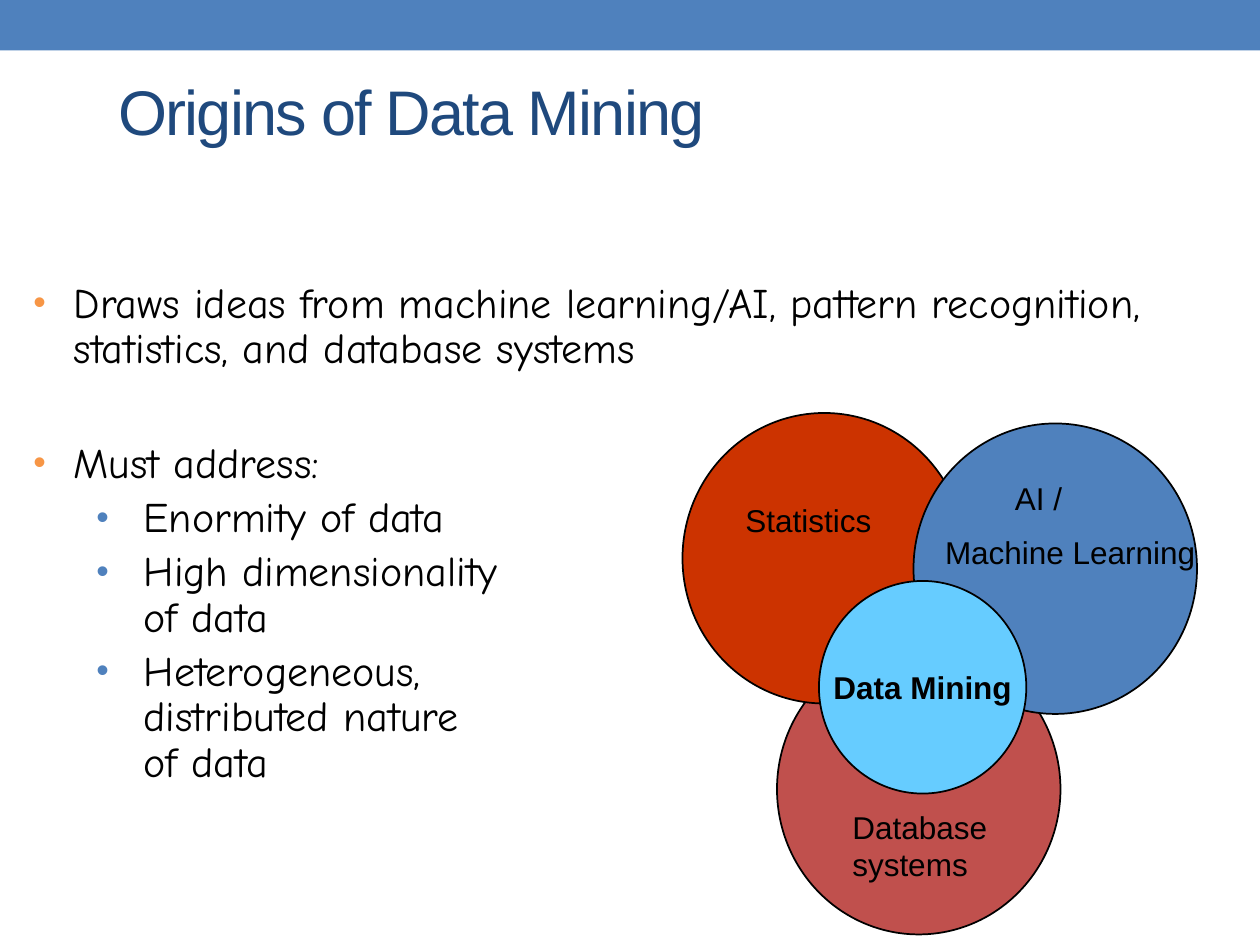
from lxml import etree
from pptx import Presentation
from pptx.dml.color import RGBColor
from pptx.enum.shapes import MSO_SHAPE as SHAPE
from pptx.enum.text import MSO_ANCHOR as ANCHOR, PP_ALIGN as ALIGN
from pptx.oxml.ns import qn
from pptx.util import Pt

COLORS = {"blue": "4F81BD", "navy": "1F497D", "black": "000000", "orange": "F79646",
          "brick": "C0504D", "red": "CC3300", "sky": "66CCFF"}
BULLETS = [
    ("Draws ideas from machine learning/AI, pattern recognition, "
     "statistics, and database systems", 0, 0),
    ("Must address:", 0, 40),
    ("Enormity of data", 1, 5),
    ("High dimensionality\vof data", 1, 5),
    ("Heterogeneous,\vdistributed nature\vof data", 1, 5),
]
LEVELS = [(23, -23, "orange"), (63, -27, "blue")]  # margin, hanging indent, bullet colour


def rgb(name):
    return RGBColor.from_string(COLORS[name])


def add_text(tf, text, size=18, font="Arial", color="black", bold=False, align=ALIGN.LEFT,
             before=0, line=1.0, margin=0, spacing=0):
    """Fill the first paragraph if it is empty, else append one."""
    p = tf.paragraphs[0] if not tf.text else tf.add_paragraph()
    p.text = text
    p.alignment, p.line_spacing, p.space_before = align, line, Pt(before)
    p._p.get_or_add_pPr().set("marL", str(Pt(margin)))
    for r in p.runs:
        r.font.size, r.font.name, r.font.bold = Pt(size), font, bold
        r.font.color.rgb = rgb(color)
        if spacing:
            r._r.get_or_add_rPr().set("spc", str(spacing * 100))
    return p


def set_bullet(p, indent, color):
    pPr = p._p.get_or_add_pPr()
    pPr.set("indent", str(Pt(indent)))
    clr = etree.SubElement(pPr, qn("a:buClr"))
    etree.SubElement(clr, qn("a:srgbClr"), val=COLORS[color])
    etree.SubElement(pPr, qn("a:buSzPct"), val="85000")
    etree.SubElement(pPr, qn("a:buFont"), typeface="Arial")
    etree.SubElement(pPr, qn("a:buChar"), char="•")


def add_box(s, left, top, width, height, inset=7.2, anchor=ANCHOR.TOP):
    tf = s.shapes.add_textbox(Pt(left), Pt(top), Pt(width), Pt(height)).text_frame
    tf.word_wrap, tf.vertical_anchor = True, anchor
    tf.margin_left = tf.margin_right = Pt(inset)
    return tf


def add_filled(s, kind, left, top, width, height, color, outline=True):
    sp = s.shapes.add_shape(kind, Pt(left), Pt(top), Pt(width), Pt(height))
    sp.shadow.inherit = False
    sp.fill.solid()
    sp.fill.fore_color.rgb = rgb(color)
    if outline:
        sp.line.color.rgb, sp.line.width = rgb("black"), Pt(1)
    else:
        sp.line.fill.background()
    return sp


def add_header(s, left, top, width):
    add_filled(s, SHAPE.RECTANGLE, left, top, width, 28.8, "blue", outline=False)
    tf = add_box(s, left + 67.5, top + 42, 526.5, 42, inset=0, anchor=ANCHOR.MIDDLE)
    add_text(tf, "Origins of Data Mining", size=36, color="navy", spacing=-1)


def add_bullets(s, left, top, width, height):
    tf = add_box(s, left, top, width, height)
    for text, level, before in BULLETS:
        margin, indent, color = LEVELS[level]
        p = add_text(tf, text, size=24, font="Comic Neue", before=before, line=0.9,
                     margin=margin)
        set_bullet(p, indent, color)


def add_venn(s, left, top):
    for dx, dy, color in [(54, 132, "brick"), (0, 0, "red"), (132, 6, "blue")]:
        add_filled(s, SHAPE.OVAL, left + dx, top + dy, 162, 166, color)

    core = add_filled(s, SHAPE.OVAL, left + 78, top + 96, 118.5, 121.5, "sky")
    core.text_frame.word_wrap = False
    core.text_frame.vertical_anchor = ANCHOR.MIDDLE
    add_text(core.text_frame, "Data Mining", bold=True, align=ALIGN.CENTER)

    ai = add_box(s, left + 150, top + 34, 168, 61, inset=0)
    add_text(ai, "AI /", margin=40)
    add_text(ai, "Machine Learning", before=9.6)
    add_text(add_box(s, left + 18, top + 47, 108, 29), "Statistics", align=ALIGN.CENTER)
    add_text(add_box(s, left + 90, top + 222, 114, 50), "Database systems")


def main():
    prs = Presentation()
    prs.slide_width, prs.slide_height = Pt(720), Pt(540)
    s = prs.slides.add_slide(prs.slide_layouts[6])
    add_header(s, 0, 0, 720)
    add_bullets(s, 12, 157.5, 696, 300)
    add_venn(s, 390, 236)
    prs.save("out.pptx")


if __name__ == "__main__":
    main()
